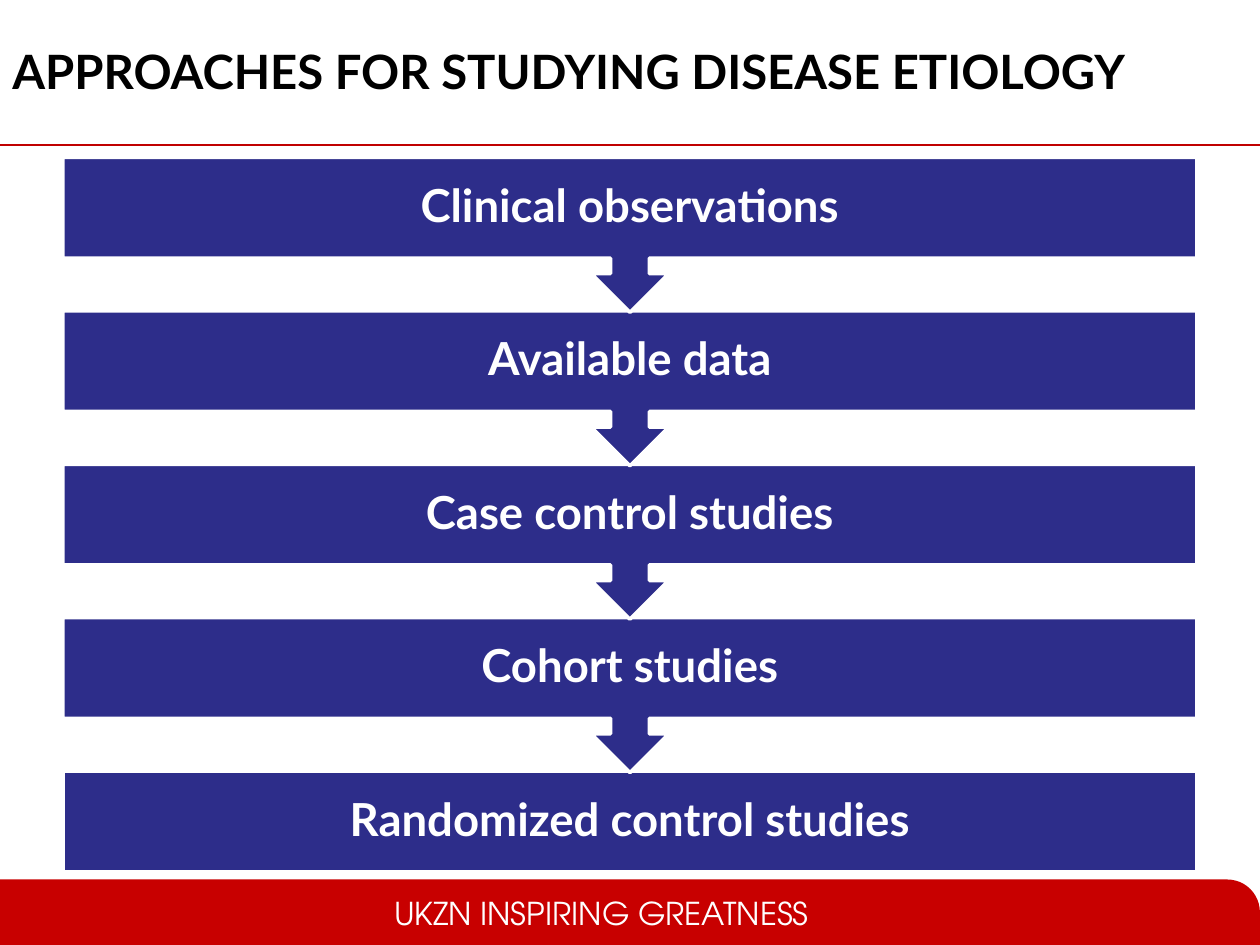
from lxml.etree import SubElement
from pptx import Presentation
from pptx.dml.color import RGBColor
from pptx.enum.shapes import MSO_CONNECTOR, MSO_SHAPE
from pptx.enum.text import MSO_ANCHOR, PP_ALIGN
from pptx.oxml.ns import qn
from pptx.util import Inches, Pt

WHITE = RGBColor(0xFF, 0xFF, 0xFF)
BLACK = RGBColor(0, 0, 0)
NAVY = RGBColor(0x2D, 0x2D, 0x8A)
RED = RGBColor(0xC8, 0, 0)
RULE = RGBColor(0xC0, 0, 0)

WIDE, HIGH = 10, 7.5
STEPS = ["Clinical observations", "Available data", "Case control studies",
         "Cohort studies", "Randomized control studies"]
# Rows of the flow: first top, last top, box height
FIRST, LAST, BOX = 1.25, 6.12, 0.8
PITCH = (LAST - FIRST) / (len(STEPS) - 1)


def write(shape, text, size, face, color, bold=False, align=PP_ALIGN.LEFT):
    frame = shape.text_frame
    frame.word_wrap = True
    para = frame.paragraphs[0]
    para.text = text
    para.alignment = align
    font = para.font
    font.size, font.name, font.bold = Pt(size), face, bold
    font.color.rgb = color
    return frame


def add_text(slide, area, *style, **more):
    box = slide.shapes.add_textbox(*map(Inches, area))
    return write(box, *style, **more)


def add_block(slide, kind, area, fill):
    block = slide.shapes.add_shape(kind, *map(Inches, area))
    block.shadow.inherit = False
    block.fill.solid()
    block.fill.fore_color.rgb = fill
    block.line.fill.background()
    return block


def add_rule(slide, top):
    rule = slide.shapes.add_connector(
        MSO_CONNECTOR.STRAIGHT, 0, Inches(top), Inches(WIDE), Inches(top))
    rule.line.color.rgb = RULE
    rule.line.width = Pt(0.75)
    SubElement(rule._element.spPr, qn("a:effectLst"))


def add_step(slide, row, text):
    final = row == len(STEPS) - 1
    kind = MSO_SHAPE.RECTANGLE if final else MSO_SHAPE.DOWN_ARROW_CALLOUT
    tall = BOX if final else 1.23
    step = add_block(slide, kind,
                     (0.05 * WIDE, FIRST + row * PITCH, 0.9 * WIDE, tall), NAVY)
    step.line.color.rgb = WHITE
    step.line.width = Pt(2)
    frame = write(step, text, 26, "Lato", WHITE, True, PP_ALIGN.CENTER)
    frame.vertical_anchor = MSO_ANCHOR.MIDDLE
    frame.margin_left = frame.margin_right = Inches(0.2)
    frame.margin_top = frame.margin_bottom = Inches(0.2)
    frame.paragraphs[0].line_spacing = 0.9


def main():
    deck = Presentation()
    deck.slide_width, deck.slide_height = Inches(WIDE), Inches(HIGH)
    slide = deck.slides.add_slide(deck.slide_layouts[6])

    # Rule and footer band
    add_rule(slide, 1.15)
    band = add_block(slide, MSO_SHAPE.ROUND_1_RECTANGLE,
                     (0, 6.98, WIDE, 0.52), RED)
    band.adjustments[0] = 0.5
    add_text(slide, (3.03, 7.05, 3.54, 0.4), "UKZN INSPIRING GREATNESS",
             18, "TeX Gyre Adventor", WHITE)

    # Title
    title = add_text(slide, (0, 0.17, 9.83, 0.78),
                     "APPROACHES FOR STUDYING DISEASE ETIOLOGY",
                     27, "Lato", BLACK, bold=True)
    title.vertical_anchor = MSO_ANCHOR.MIDDLE

    # Flow, drawn upwards so that each arrow lies over the next box
    for row, text in reversed(list(enumerate(STEPS))):
        add_step(slide, row, text)

    deck.save("out.pptx")


if __name__ == "__main__":
    main()
